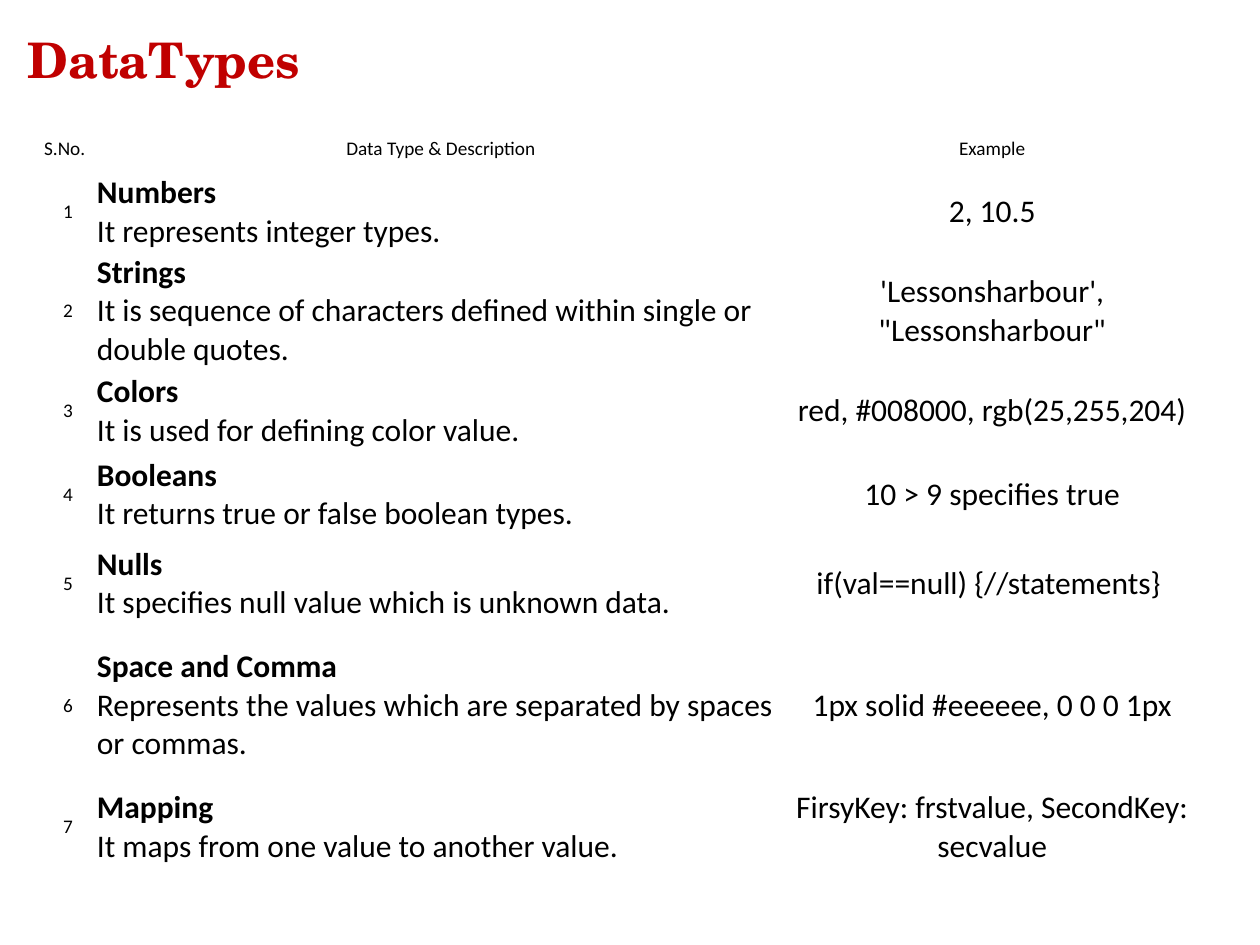
"""Build the DataTypes slide: a title above a three-column table."""
from pptx import Presentation
from pptx.dml.color import RGBColor as Rgb
from pptx.enum.text import MSO_ANCHOR as Anchor, PP_ALIGN as Align
from pptx.util import Inches, Pt


def colour(code):
    return Rgb.from_string(code)


def write(frame, text, size=18, bold_first=False, align=Align.LEFT, font="Calibri", ink="000000"):
    for index, line in enumerate(text.split("\n")):
        para = frame.paragraphs[0] if index == 0 else frame.add_paragraph()
        para.alignment = align
        span = para.add_run()
        span.text = line
        span.font.name = font
        span.font.size = Pt(size)
        span.font.bold = bold_first and index == 0
        span.font.color.rgb = colour(ink)


HEADINGS = ["S.No.", "Data Type & Description", "Example"]
DATA_TYPES = [
    ("Numbers", "It represents integer types.", "2, 10.5"),
    ("Strings", "It is sequence of characters defined within single or double quotes.",
     "'Lessonsharbour', \"Lessonsharbour\""),
    ("Colors", "It is used for defining color value.", "red, #008000, rgb(25,255,204)"),
    ("Booleans", "It returns true or false boolean types.", "10 > 9 specifies true"),
    ("Nulls", "It specifies null value which is unknown data.", "if(val==null) {//statements} "),
    ("Space and Comma", "Represents the values which are separated by spaces or commas.",
     "1px solid #eeeeee, 0 0 0 1px"),
    ("Mapping", "It maps from one value to another value.", "FirsyKey: frstvalue, SecondKey: secvalue"),
]
COLUMN_SPANS = [42, 550, 325]
ROW_SPANS = [37, 62, 96, 54, 71, 71, 122, 71]

deck = Presentation()
deck.slide_width, deck.slide_height = Inches(10), Inches(7.5)
column, row = deck.slide_width // 1000, deck.slide_height // 750
page = deck.slides.add_slide(deck.slide_layouts[6])

title = page.shapes.add_textbox(12 * column, 13 * row, 783 * column, 67 * row).text_frame
title.word_wrap = True
title.vertical_anchor = Anchor.MIDDLE
write(title, "DataTypes", size=28, bold_first=True, font="TeX Gyre Schola", ink="C00000")

table = page.shapes.add_table(
    len(ROW_SPANS), len(COLUMN_SPANS), 33 * column, 100 * row,
    sum(COLUMN_SPANS) * column, sum(ROW_SPANS) * row).table
table.first_row = table.horz_banding = False
for table_column, span_count in zip(table.columns, COLUMN_SPANS):
    table_column.width = span_count * column
for table_row, span_count in zip(table.rows, ROW_SPANS):
    table_row.height = span_count * row

entries = [HEADINGS]
for number, (name, description, example) in enumerate(DATA_TYPES, 1):
    entries.append([str(number), f"{name}\n{description}", example])

for row_index, entry in enumerate(entries):
    for column_index, text in enumerate(entry):
        cell = table.cell(row_index, column_index)
        cell.fill.background()
        cell.vertical_anchor = Anchor.MIDDLE
        cell.margin_left = cell.margin_right = 2 * column
        cell.margin_top = cell.margin_bottom = row
        heading, described = row_index == 0, column_index == 1
        left = described != heading and (described or column_index == 0)
        write(cell.text_frame, text,
              size=11 if heading or column_index == 0 else 18,
              bold_first=described and not heading,
              align=Align.LEFT if left else Align.CENTER)

deck.save("out.pptx")
